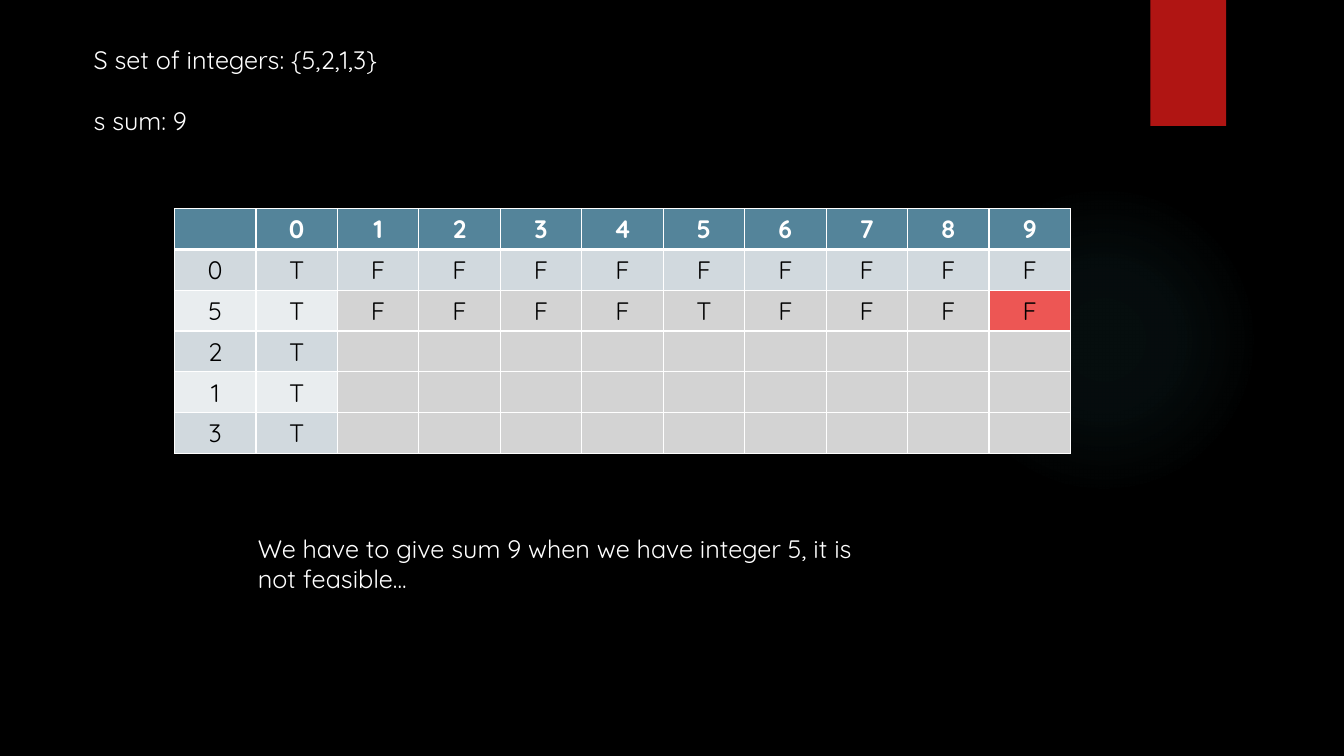
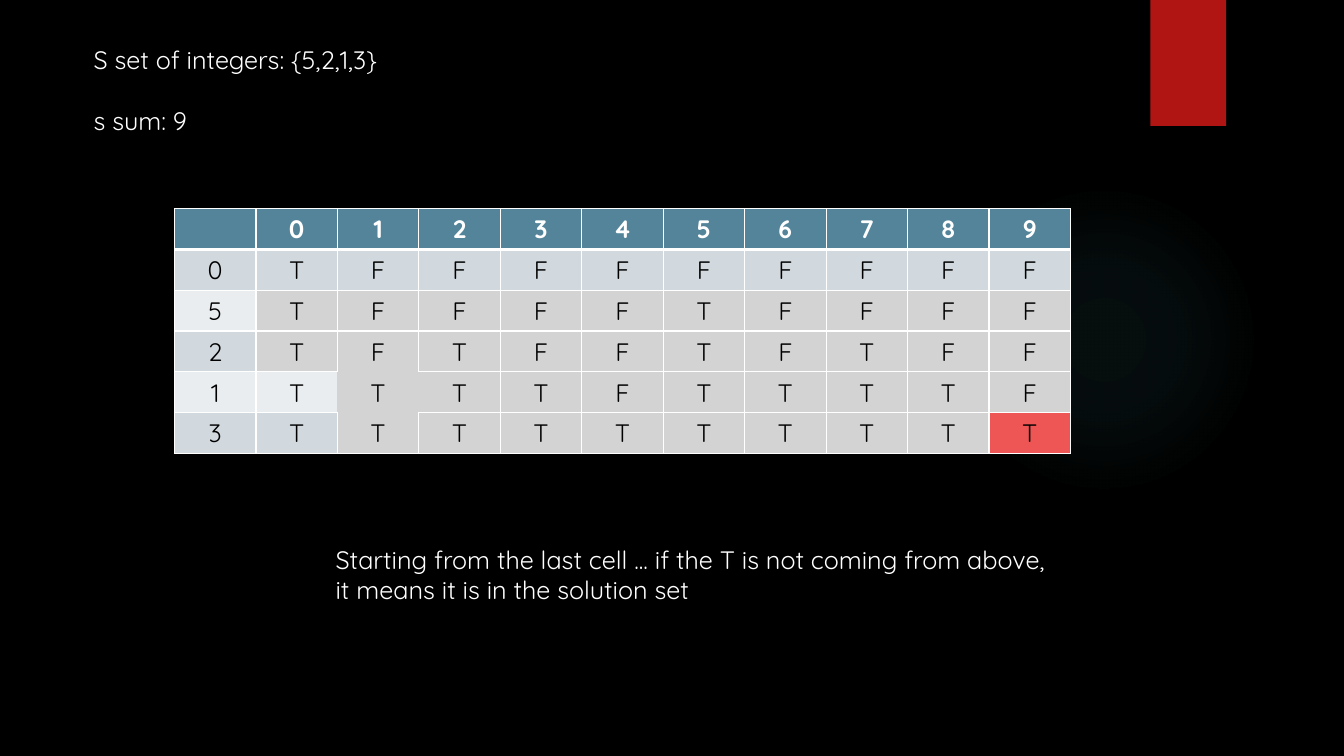
from lxml.etree import SubElement
from pptx import Presentation
from pptx.dml.color import RGBColor
from pptx.enum.shapes import MSO_SHAPE
from pptx.enum.text import MSO_AUTO_SIZE, PP_ALIGN
from pptx.oxml import parse_xml
from pptx.oxml.ns import nsdecls, qn
from pptx.util import Inches, Pt

COLORS = {
    "background": "000000", "text": "FFFFFF", "ribbon": "B01513", "glow": "50B9C1",
    "header": "54849A", "odd": "D1D9DE", "even": "E9EDEF",
    "done": "D3D3D3", "current": "ED5654", "cell text": "000000", "border": "FFFFFF",
}
RGB = {name: RGBColor.from_string(value) for name, value in COLORS.items()}
FONT, SIZE, LINE = "Quicksand", Pt(18), Pt(22)

# Areas are left, top, width and height in percent of the slide
GLOW = (70.59, 24.4, 23.11, 41.07)
RIBBON = (85.6, 0, 5.63, 16.67)
TASK = (6.23, 5.2, 23.93, 13.47)
GRID = (12.98, 27.6, 66.69, 32.4)

TASK_LINES = ["S set of integers: {5,2,1,3}", "s sum: 9"]
INTEGERS = "05213"
SUMS = "0123456789"
GLOW_STOPS = [(0, 7), (36, 6), (69, 0)]  # position and opacity in percent
NEIGHBOURS = {"L": (0, -1), "R": (0, 1), "T": (-1, 0), "B": (1, 0)}

# done: first finished column of each row; open: cell without borders
SLIDES = [
    {
        "answers": ["TFFFFFFFFF", "TFFFFTFFFF", "T", "T", "T"],
        "done": {2: 2}, "current": (2, 10), "open": None,
        "note": ["We have to give sum 9 when we have integer 5, it is", "not feasible..."],
        "area": (18.45, 69.87, 49.59, 9.47),
    },
    {
        "answers": ["TFFFFFFFFF", "TFFFFTFFFF", "TFTFFTFTFF", "TTTTFTTTTF", "TTTTTTTTTT"],
        "done": {2: 1, 3: 1, 4: 2, 5: 2}, "current": (5, 10), "open": (4, 2),
        "note": ["Starting from the last cell ... if the T is not coming from above,",
                 "it means it is in the solution set"],
        "area": (24.23, 71.33, 57.69, 9.47),
    },
]

prs = Presentation()
prs.slide_width, prs.slide_height = Inches(13.33), Inches(7.5)
background = prs.slide_master.background.fill
background.solid()
background.fore_color.rgb = RGB["background"]


def share(area):
    """Turn percentages of the slide into lengths."""
    sides = (prs.slide_width, prs.slide_height) * 2
    return [int(side * percent / 100) for side, percent in zip(sides, area)]


def write(p, text, color, bold=False):
    r = p.add_run()
    r.text = text
    r.font.name, r.font.size, r.font.bold = FONT, SIZE, bold
    r.font.color.rgb = RGB[color]


for content in SLIDES:
    s = prs.slides.add_slide(prs.slide_layouts[6])

    # Glow and ribbon
    for kind, area in ((MSO_SHAPE.OVAL, GLOW), (MSO_SHAPE.RECTANGLE, RIBBON)):
        sp = s.shapes.add_shape(kind, *share(area))
        sp.shadow.inherit = False
        sp.line.fill.background()
        sp.fill.solid()
        sp.fill.fore_color.rgb = RGB["ribbon"]
        if area == GLOW:
            stops = "".join(
                f'<a:gs pos="{pos * 1000}"><a:srgbClr val="{COLORS["glow"]}">'
                f'<a:alpha val="{opacity * 1000}"/></a:srgbClr></a:gs>'
                for pos, opacity in GLOW_STOPS)
            gradient = parse_xml(
                f'<a:gradFill {nsdecls("a")}><a:gsLst>{stops}</a:gsLst><a:path path="circle">'
                '<a:fillToRect l="50000" t="50000" r="50000" b="50000"/></a:path></a:gradFill>')
            solid = sp.fill._xPr.find(qn("a:solidFill"))
            solid.getparent().replace(solid, gradient)

    # Task and note
    for area, lines, gap in ((TASK, TASK_LINES, LINE), (content["area"], content["note"], 0)):
        tf = s.shapes.add_textbox(*share(area)).text_frame
        tf.word_wrap = False
        tf.auto_size = MSO_AUTO_SIZE.SHAPE_TO_FIT_TEXT
        for i, line in enumerate(lines):
            p = tf.add_paragraph() if i else tf.paragraphs[0]
            p.space_before = gap if i else 0
            write(p, line, "text")

    # Table of reachable sums
    rows = [" " + SUMS] + [n + a for n, a in zip(INTEGERS, content["answers"])]
    table = s.shapes.add_table(len(rows), len(rows[0]), *share(GRID)).table
    table.horz_banding = False
    for row, values in enumerate(rows):
        for col in range(len(table.columns)):
            cell = table.cell(row, col)
            if row == 0:
                fill = "header"
            elif (row, col) == content["current"]:
                fill = "current"
            elif col >= content["done"].get(row, len(values)):
                fill = "done"
            else:
                fill = "odd" if row % 2 else "even"
            cell.fill.solid()
            cell.fill.fore_color.rgb = RGB[fill]

            p = cell.text_frame.paragraphs[0]
            p.alignment = PP_ALIGN.CENTER
            text = values[col:col + 1].strip()
            if text:
                write(p, text, "cell text" if row else "text", bold=row == 0)

            tcPr = cell._tc.get_or_add_tcPr()
            for i, (side, (down, right)) in enumerate(NEIGHBOURS.items()):
                width = Pt(3) if row == 0 and side == "B" else Pt(1)
                ln = SubElement(tcPr, qn(f"a:ln{side}"), w=str(width))
                if content["open"] in ((row, col), (row + down, col + right)):
                    SubElement(ln, qn("a:noFill"))
                else:
                    line_fill = SubElement(ln, qn("a:solidFill"))
                    SubElement(line_fill, qn("a:srgbClr"), val=COLORS["border"])
                tcPr.insert(i, ln)

prs.save("out.pptx")
